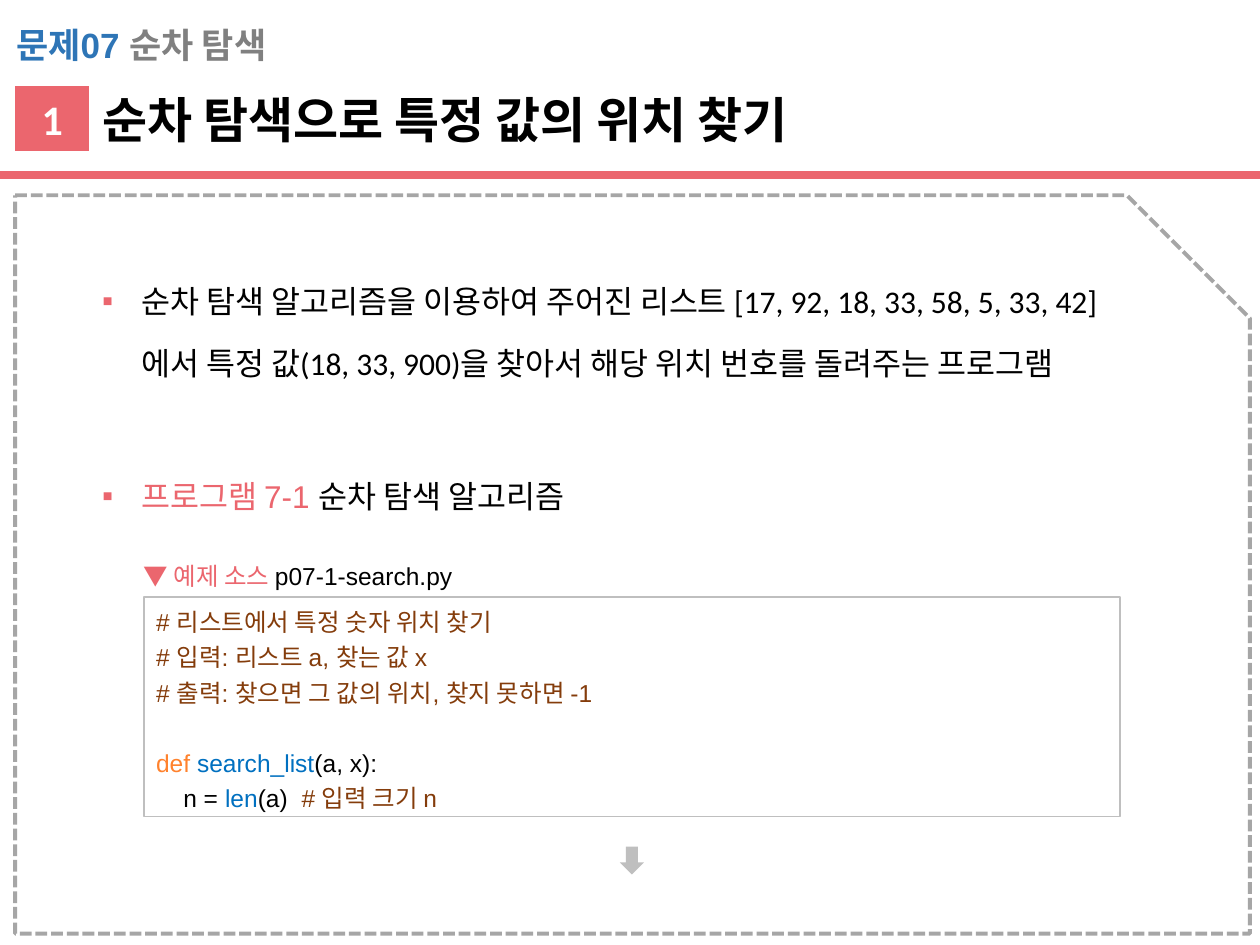
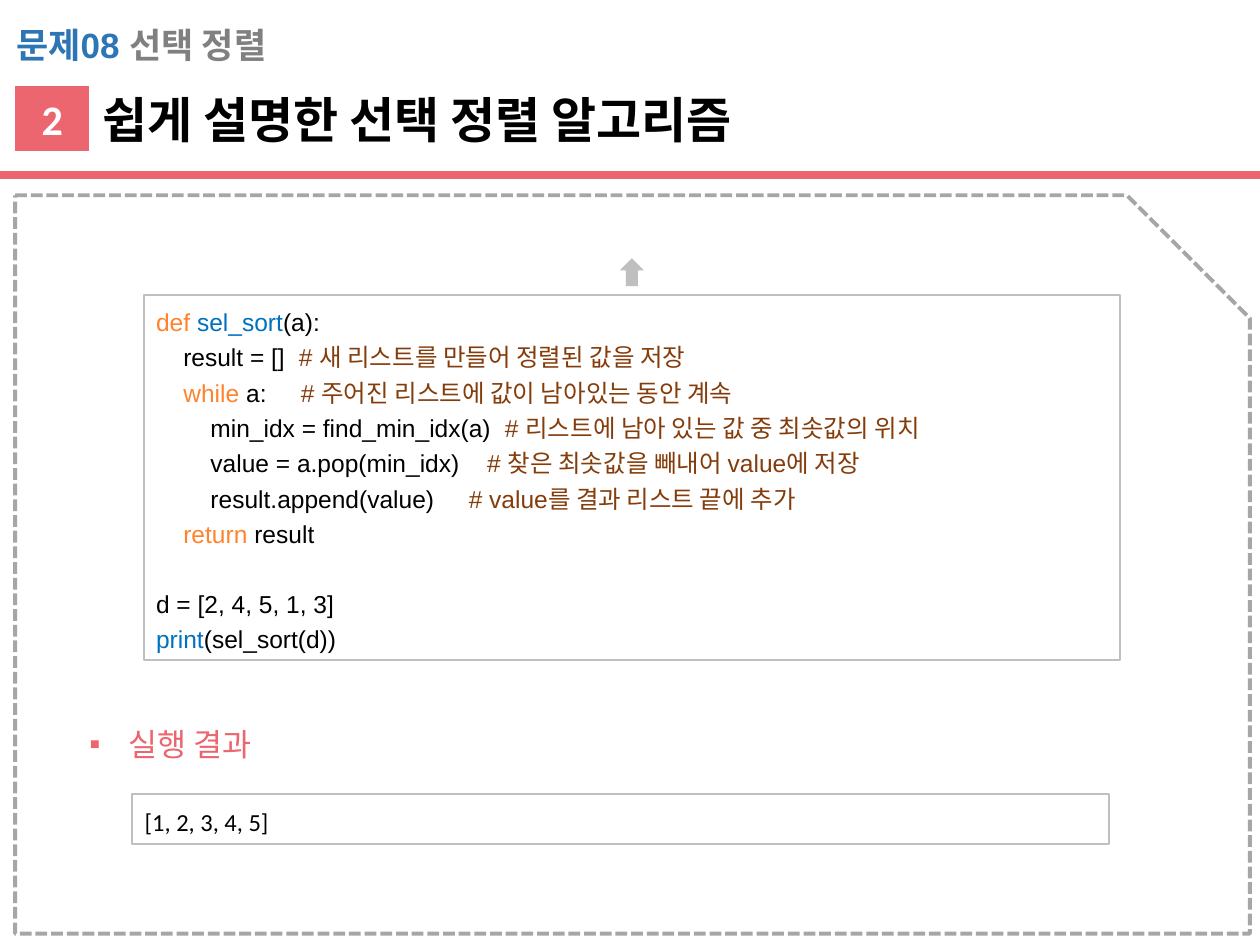
from lxml.etree import SubElement
from pptx import Presentation
from pptx.dml.color import RGBColor
from pptx.enum.dml import MSO_LINE
from pptx.enum.shapes import MSO_CONNECTOR, MSO_SHAPE
from pptx.enum.text import MSO_ANCHOR, MSO_AUTO_SIZE, PP_ALIGN
from pptx.oxml.ns import qn
from pptx.util import Inches, Pt

ACCENT, BLUE, GRAY = "EB666E", "2E75B6", "808080"
DASH, BORDER = "A6A6A6", "BFBFBF"
BLACK, WHITE = "000000", "FFFFFF"
COMMENT, KEYWORD, NAME = "843C0B", "FF822D", "0070C0"

CODE_LINE = Pt(20)
CODE_WIDTH = 7.75
BULLET_INDENT = Inches(0.31)
LAYOUT_BY_BULLETS = {1: 1, 2: 3}  # number of body placeholders: layout index

# Spans are (text, colour) or (text, colour, font); an empty code line is a gap.
SLIDES = [
    {
        "problem": "문제07 ", "topic": "순차 탐색",
        "number": "1", "title": "순차 탐색으로 특정 값의 위치 찾기",
        "bullets": [
            ((0.71, 1.99, 8.77, 1.1), [
                ("순차 탐색 알고리즘을 이용하여 주어진 리스트 [17, 92, 18, 33, 58, 5, 33, 42]\n"
                 "에서 특정 값(18, 33, 900)을 찾아서 해당 위치 번호를 돌려주는 프로그램",
                 BLACK, "Calibri")]),
            ((0.71, 3.54, 8.77, 0.6), [
                ("프로그램 7-1 ", ACCENT), ("순차 탐색 알고리즘", BLACK, "Calibri")]),
        ],
        "caption": [("▼ 예제 소스 ", ACCENT), ("p07-1-search.py", BLACK)],
        "code_boxes": [
            ((1.14, 4.74, 1.74), [
                [("# 리스트에서 특정 숫자 위치 찾기", COMMENT)],
                [("# 입력: 리스트 a, 찾는 값 x", COMMENT)],
                [("# 출력: 찾으면 그 값의 위치, 찾지 못하면 -1", COMMENT)],
                [],
                [("def ", KEYWORD), ("search_list", NAME), ("(a, x):", BLACK)],
                [("    n = ", BLACK), ("len", NAME), ("(a)  ", BLACK),
                 ("# 입력 크기 n", COMMENT)],
            ]),
        ],
        "arrow": (6.72, 0),
    },
    {
        "problem": "문제08 ", "topic": "선택 정렬",
        "number": "2", "title": "쉽게 설명한 선택 정렬 알고리즘",
        "bullets": [((0.61, 5.51, 8.77, 0.53), [("실행 결과", ACCENT)])],
        "caption": [],
        "code_boxes": [
            ((1.14, 2.34, 2.9), [
                [("def ", KEYWORD), ("sel_sort", NAME), ("(a):", BLACK)],
                [("    result = []  ", BLACK),
                 ("# 새 리스트를 만들어 정렬된 값을 저장", COMMENT)],
                [("    ", BLACK), ("while", KEYWORD), (" a:     ", BLACK),
                 ("# 주어진 리스트에 값이 남아있는 동안 계속", COMMENT)],
                [("        min_idx = find_min_idx(a)  ", BLACK),
                 ("# 리스트에 남아 있는 값 중 최솟값의 위치", COMMENT)],
                [("        value = a.pop(min_idx)    ", BLACK),
                 ("# 찾은 최솟값을 빼내어 value에 저장", COMMENT)],
                [("        result.append(value)     ", BLACK),
                 ("# value를 결과 리스트 끝에 추가", COMMENT)],
                [("    ", BLACK), ("return", KEYWORD), (" result", BLACK)],
                [],
                [("d = [2, 4, 5, 1, 3]", BLACK)],
                [("print", NAME), ("(sel_sort(d))", BLACK)],
            ]),
            ((1.05, 6.3, 0.4), [[("[1, 2, 3, 4, 5]", BLACK, "Calibri")]]),
        ],
        "arrow": (2.05, 180),
    },
]


def color(value):
    return RGBColor.from_string(value)


def add_spans(para, spans, size, bold=False):
    for text, tint, *font in spans:
        for index, line in enumerate(text.split("\n")):
            if index:
                para.add_line_break()
            span = para.add_run()
            span.text = line
            span.font.size = Pt(size)
            span.font.bold = bold
            span.font.name = font[0] if font else "Arial"
            span.font.color.rgb = color(tint)


def place(box, area):
    box.left, box.top, box.width, box.height = map(Inches, area)


def set_up_text(box):
    """Wrap the text from the top left, and return its first paragraph."""
    frame = box.text_frame
    frame.word_wrap = True
    frame.auto_size = MSO_AUTO_SIZE.SHAPE_TO_FIT_TEXT
    frame.vertical_anchor = MSO_ANCHOR.TOP
    para = frame.paragraphs[0]
    para.alignment = PP_ALIGN.LEFT
    para.space_before = Pt(0)
    return para


def add_text(page, area, spans, size, bold=False):
    box = page.shapes.add_textbox(*map(Inches, area))
    add_spans(set_up_text(box), spans, size, bold)


def add_shape(page, kind, area, fill=None, line=None, width=1):
    shape = page.shapes.add_shape(kind, *map(Inches, area))
    shape.shadow.inherit = False
    if fill:
        shape.fill.solid()
        shape.fill.fore_color.rgb = color(fill)
    else:
        shape.fill.background()
    if line:
        shape.line.color.rgb = color(line)
        shape.line.width = Pt(width)
    else:
        shape.line.fill.background()
    return shape


def add_header(page, content):
    """Draw the dashed panel, rule, problem name, number and title."""
    panel = add_shape(page, MSO_SHAPE.SNIP_1_RECTANGLE, (0.12, 1.55, 9.8, 5.86),
                      line=DASH, width=2.25)
    panel.line.dash_style = MSO_LINE.SQUARE_DOT

    rule = page.shapes.add_connector(MSO_CONNECTOR.STRAIGHT, 0, Inches(1.39),
                                     Inches(10), Inches(1.39))
    rule.line.color.rgb = color(ACCENT)
    rule.line.width = Pt(4.5)
    SubElement(rule.line._get_or_add_ln().getparent(), qn("a:effectLst"))

    add_text(page, (0.03, 0.14, 9.45, 0.44),
             [(content["problem"], BLUE), (content["topic"], GRAY)], 20, bold=True)

    badge = add_shape(page, MSO_SHAPE.FLOWCHART_PROCESS, (0.12, 0.68, 0.59, 0.52), ACCENT)
    badge.text_frame.vertical_anchor = MSO_ANCHOR.MIDDLE
    number = badge.text_frame.paragraphs[0]
    number.alignment = PP_ALIGN.CENTER
    add_spans(number, [(content["number"], WHITE, "Calibri")], 24, bold=True)

    title = page.shapes.title
    place(title, (0.71, 0.66, 9.21, 0.57))
    add_spans(set_up_text(title), [(content["title"], BLACK)], 28, bold=True)


def fill_bullet(body, area, spans):
    place(body, area)
    para = set_up_text(body)
    para.line_spacing = 1.65
    add_spans(para, spans, 18)
    props = para._p.get_or_add_pPr()
    props.set("marL", str(BULLET_INDENT))
    props.set("indent", str(-BULLET_INDENT))
    tint = SubElement(props, qn("a:buClr"))
    SubElement(tint, qn("a:srgbClr"), val=ACCENT)
    SubElement(props, qn("a:buFont"), typeface="Arial")
    SubElement(props, qn("a:buChar"), char="▪")


def add_code(page, corner, lines):
    left, top, height = corner
    box = add_shape(page, MSO_SHAPE.RECTANGLE, (left, top, CODE_WIDTH, height), line=BORDER)
    frame = box.text_frame
    frame.word_wrap = True
    frame.vertical_anchor = MSO_ANCHOR.MIDDLE
    para, gap = frame.paragraphs[0], Pt(0)
    for spans in lines:
        if not spans:
            gap = CODE_LINE
            continue
        if para.runs:
            para = frame.add_paragraph()
        para.alignment = PP_ALIGN.LEFT
        para.line_spacing = 1.2
        para.space_before, gap = gap, Pt(0)
        add_spans(para, spans, 14)


def build_slide(deck, content):
    bullets = content["bullets"]
    page = deck.slides.add_slide(deck.slide_layouts[LAYOUT_BY_BULLETS[len(bullets)]])
    bodies = list(page.placeholders)[1:]
    add_header(page, content)
    for body, (area, spans) in zip(bodies, bullets):
        fill_bullet(body, area, spans)
    for corner, lines in content["code_boxes"]:
        add_code(page, corner, lines)
    if content["caption"]:
        add_text(page, (1.04, 4.4, 3.42, 0.34), content["caption"], 14)
    top, turn = content["arrow"]
    arrow = add_shape(page, MSO_SHAPE.DOWN_ARROW, (4.92, top, 0.19, 0.22), BORDER)
    arrow.rotation = turn


def main():
    deck = Presentation()
    deck.slide_width, deck.slide_height = Inches(10), Inches(7.5)
    for content in SLIDES:
        build_slide(deck, content)
    deck.save("out.pptx")


if __name__ == "__main__":
    main()
